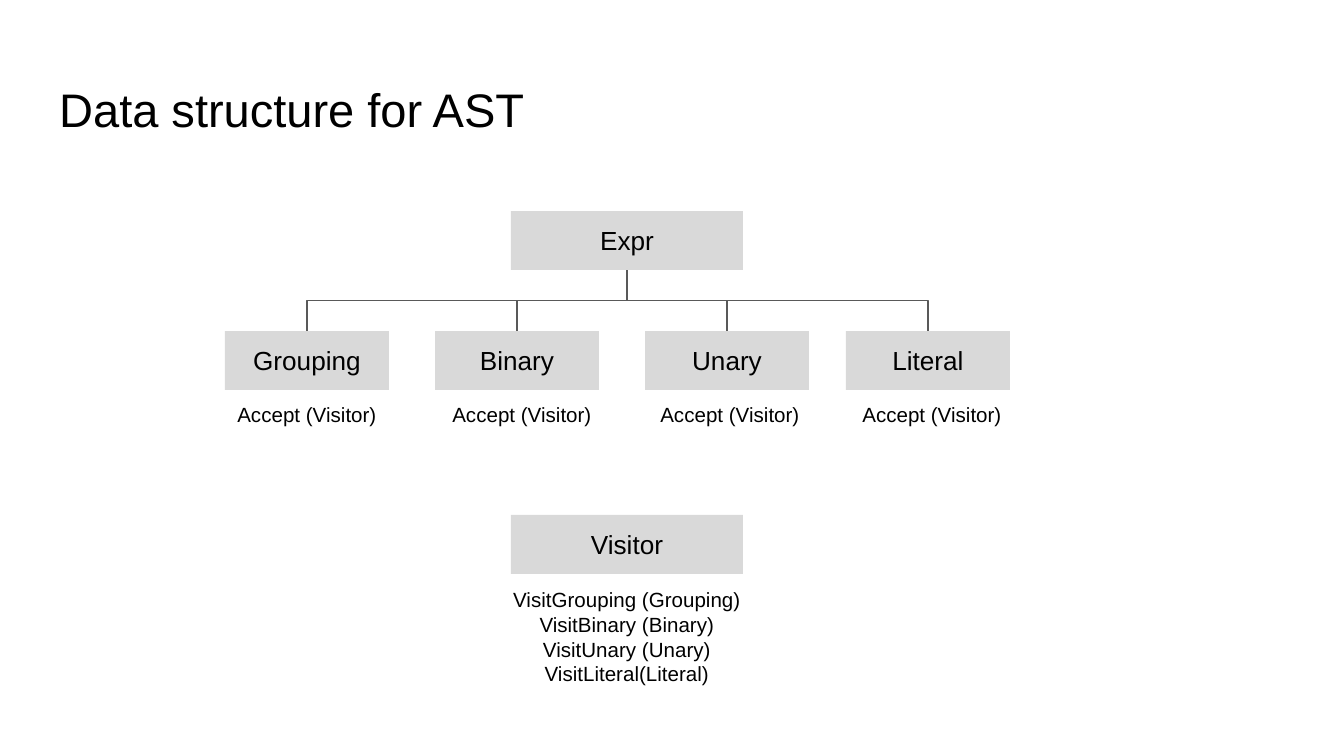
from lxml import etree
from pptx import Presentation, util as u
from pptx.dml.color import RGBColor
from pptx.enum import shapes, text
from pptx.oxml.ns import qn

PX = 914400 / 134.4
COLORS = {"text": "000000", "node": "D9D9D9", "line": "595959"}
INSET = u.Inches(0.1)
NODE_HEIGHT = 59
EXPR_LEFT, EXPR_WIDTH = 511, 232
CHILD_WIDTH, CHILD_TOP = 164, 331
LABEL_WIDTH = 184
CHILDREN = [
    ("Grouping", 225, 215),
    ("Binary", 435, 430),
    ("Unary", 645, 638),
    ("Literal", 846, 840),
]
VISITS = [
    "VisitGrouping (Grouping)",
    "VisitBinary (Binary)",
    "VisitUnary (Unary)",
    "VisitLiteral(Literal)",
]


def emu(*lengths):
    """Turn px lengths into EMU."""
    return [u.Emu(round(length * PX)) for length in lengths]


def color(key):
    """Look up a named colour."""
    return RGBColor.from_string(COLORS[key])


def write(frame, lines, size, align, anchor):
    """Fill a text frame with one paragraph per line."""
    frame.word_wrap = True
    frame.vertical_anchor = anchor
    frame.margin_left = frame.margin_right = INSET
    frame.margin_top = frame.margin_bottom = INSET
    for index, line in enumerate(lines):
        paragraph = frame.add_paragraph() if index else frame.paragraphs[0]
        paragraph.alignment = align
        run = paragraph.add_run()
        run.text = line
        run.font.name = "Arial"
        run.font.size = u.Pt(size)
        run.font.color.rgb = color("text")


def add_label(slide, box, lines, size=11, align=text.PP_ALIGN.CENTER,
              anchor=text.MSO_ANCHOR.TOP):
    """Add plain text in a px box."""
    label = slide.shapes.add_textbox(*emu(*box))
    write(label.text_frame, lines, size, align, anchor)


def add_node(slide, name, left, top, width):
    """Add a grey class box and return it."""
    node = slide.shapes.add_shape(
        shapes.MSO_SHAPE.RECTANGLE, *emu(left, top, width, NODE_HEIGHT))
    node.shadow.inherit = False
    node.fill.solid()
    node.fill.fore_color.rgb = color("node")
    node.line.fill.background()
    write(node.text_frame, [name], 14, text.PP_ALIGN.CENTER,
          text.MSO_ANCHOR.MIDDLE)
    return node


def add_branch(slide, parent, child):
    """Join a parent's bottom to a child's top by a vertical-first elbow."""
    branch = slide.shapes.add_connector(
        shapes.MSO_CONNECTOR.ELBOW, 0, 0, 0, 0)
    branch.begin_connect(parent, 2)
    branch.end_connect(child, 0)
    start_x, start_y = parent.left + parent.width // 2, parent.top + parent.height
    end_x, end_y = child.left + child.width // 2, child.top
    drop, reach = end_y - start_y, abs(end_x - start_x)
    rightward = end_x > start_x
    xfrm = branch._element.spPr.get_or_add_xfrm()
    xfrm.rot = 270 if rightward else 90
    xfrm.flipH, xfrm.flipV = rightward, False
    branch.left = (start_x + end_x - drop) // 2
    branch.top = (start_y + end_y - reach) // 2
    branch.width, branch.height = drop, reach
    branch.line.color.rgb = color("line")
    branch.line.width = u.Pt(0.75)
    etree.SubElement(branch._element.spPr, qn("a:effectLst"))


def main():
    """Build the AST class diagram slide."""
    deck = Presentation()
    deck.slide_width, deck.slide_height = emu(1344, 756)
    slide = deck.slides.add_slide(deck.slide_layouts[6])
    add_label(slide, (46, 66, 1253, 84), ["Data structure for AST"], 25.2,
              text.PP_ALIGN.LEFT, text.MSO_ANCHOR.BOTTOM)
    expr = add_node(slide, "Expr", EXPR_LEFT, 211, EXPR_WIDTH)
    for name, left, label_left in CHILDREN:
        child = add_node(slide, name, left, CHILD_TOP, CHILD_WIDTH)
        add_branch(slide, expr, child)
        add_label(slide, (label_left, CHILD_TOP + NODE_HEIGHT, LABEL_WIDTH, 52),
                  ["Accept (Visitor)"])
    add_node(slide, "Visitor", EXPR_LEFT, 515, EXPR_WIDTH)
    add_label(slide, (480, 574, 294, 126), VISITS)
    deck.save("out.pptx")


if __name__ == "__main__":
    main()
